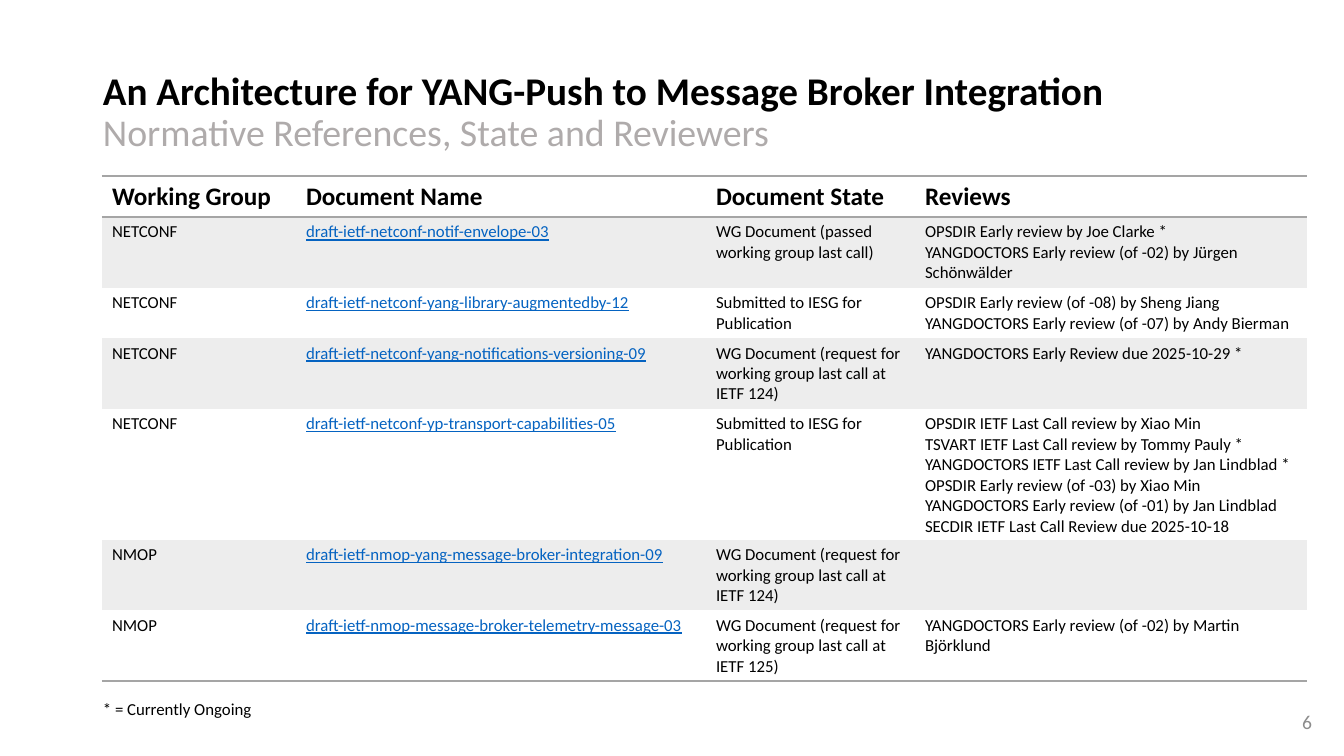
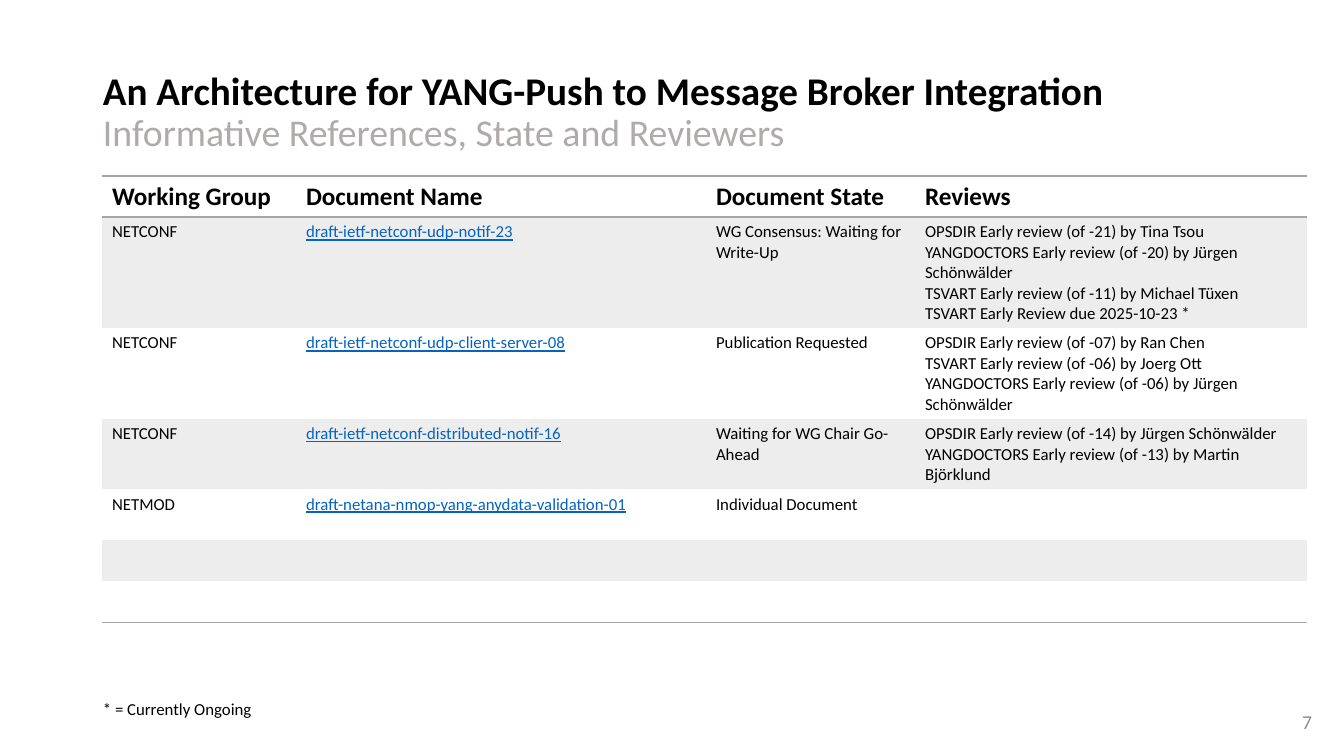
"""Build two slides listing referenced drafts, their state and their reviewers."""
from dataclasses import dataclass

from lxml import etree
from pptx import Presentation
from pptx.dml.color import RGBColor
from pptx.enum.text import MSO_ANCHOR, PP_ALIGN
from pptx.oxml.ns import qn
from pptx.util import Emu, Pt

MIDDLE, TOP = MSO_ANCHOR.MIDDLE, MSO_ANCHOR.TOP
LEFT, RIGHT = PP_ALIGN.LEFT, PP_ALIGN.RIGHT
EMU_PER_PX = 914400 / 100.8
FONT = "Calibri"
BLACK, SUBTITLE_GREY, NUMBER_GREY = "000000", "AFABAB", "8C8C8C"
LINK_BLUE, RULE_GREY, BAND_GREY = "0563C1", "A5A5A5", "EDEDED"
PLAIN_TABLE_STYLE = "{2D5ABB26-0587-4C30-8999-92F81FD0307C}"
TITLE = "An Architecture for YANG-Push to Message Broker Integration"
FOOTNOTE = "* = Currently Ongoing"
HEADERS = ("Working Group", "Document Name", "Document State", "Reviews")
COLUMN_WIDTHS = (194, 410, 209, 392)
ROW_HEIGHT = 41


@dataclass(frozen=True)
class TextStyle:
    size: int
    color: str = BLACK
    bold: bool = False
    underline: bool = False


@dataclass(frozen=True)
class Draft:
    group: str = ""
    name: str = ""
    state: str = ""
    reviews: tuple[str, ...] = ()
    height: int = ROW_HEIGHT


@dataclass(frozen=True)
class ReferencePage:
    number: int
    subtitle: str
    drafts: tuple[Draft, ...]


TITLE_STYLE = TextStyle(28, bold=True)
SUBTITLE_STYLE = TextStyle(27, SUBTITLE_GREY)
NUMBER_STYLE = TextStyle(14, NUMBER_GREY)
HEADER_STYLE = TextStyle(18, bold=True)
BODY_STYLE = TextStyle(12)
LINK_STYLE = TextStyle(12, LINK_BLUE, underline=True)

PAGES = (
    ReferencePage(6, "Normative References, State and Reviewers", (
        Draft("NETCONF", "draft-ietf-netconf-notif-envelope-03",
              "WG Document (passed working group last call)",
              ("OPSDIR Early review by Joe Clarke *",
               "YANGDOCTORS Early review (of -02) by Jürgen Schönwälder")),
        Draft("NETCONF", "draft-ietf-netconf-yang-library-augmentedby-12",
              "Submitted to IESG for Publication",
              ("OPSDIR Early review (of -08) by Sheng Jiang",
               "YANGDOCTORS Early review (of -07) by Andy Bierman")),
        Draft("NETCONF", "draft-ietf-netconf-yang-notifications-versioning-09",
              "WG Document (request for working group last call at IETF 124)",
              ("YANGDOCTORS Early Review due 2025-10-29 *",)),
        Draft("NETCONF", "draft-ietf-netconf-yp-transport-capabilities-05",
              "Submitted to IESG for Publication",
              ("OPSDIR IETF Last Call review by Xiao Min",
               "TSVART IETF Last Call review by Tommy Pauly *",
               "YANGDOCTORS IETF Last Call review by Jan Lindblad *",
               "OPSDIR Early review (of -03) by Xiao Min",
               "YANGDOCTORS Early review (of -01) by Jan Lindblad",
               "SECDIR IETF Last Call Review due 2025-10-18")),
        Draft("NMOP", "draft-ietf-nmop-yang-message-broker-integration-09",
              "WG Document (request for working group last call at IETF 124)"),
        Draft("NMOP", "draft-ietf-nmop-message-broker-telemetry-message-03",
              "WG Document (request for working group last call at IETF 125)",
              ("YANGDOCTORS Early review (of -02) by Martin Björklund",)),
    )),
    ReferencePage(7, "Informative References, State and Reviewers", (
        Draft("NETCONF", "draft-ietf-netconf-udp-notif-23",
              "WG Consensus: Waiting for Write-Up",
              ("OPSDIR Early review (of -21) by Tina Tsou",
               "YANGDOCTORS Early review (of -20) by Jürgen Schönwälder",
               "TSVART Early review (of -11) by Michael Tüxen",
               "TSVART Early Review due 2025-10-23 *")),
        Draft("NETCONF", "draft-ietf-netconf-udp-client-server-08",
              "Publication Requested",
              ("OPSDIR Early review (of -07) by Ran Chen",
               "TSVART Early review (of -06) by Joerg Ott",
               "YANGDOCTORS Early review (of -06) by Jürgen Schönwälder")),
        Draft("NETCONF", "draft-ietf-netconf-distributed-notif-16",
              "Waiting for WG Chair Go-Ahead",
              ("OPSDIR Early review (of -14) by Jürgen Schönwälder",
               "YANGDOCTORS Early review (of -13) by Martin Björklund")),
        Draft("NETMOD", "draft-netana-nmop-yang-anydata-validation-01",
              "Individual Document", height=51),
        Draft(),
        Draft(),
    )),
)


def px(length: int) -> Emu:
    return Emu(round(length * EMU_PER_PX))


def rgb(color: str) -> RGBColor:
    return RGBColor.from_string(color)


def add_span(para, text: str, style: TextStyle) -> None:
    span = para.add_run()
    span.text = text
    font = span.font
    font.name, font.size = FONT, Pt(style.size)
    font.bold, font.underline = style.bold, style.underline
    font.color.rgb = rgb(style.color)


def add_box(page, left: int, top: int, width: int, height: int,
            anchor=TOP, align=LEFT, spacing: float = 1.0):
    box = page.shapes.add_textbox(px(left), px(top), px(width), px(height))
    frame = box.text_frame
    frame.word_wrap, frame.vertical_anchor = True, anchor
    para = frame.paragraphs[0]
    para.alignment, para.line_spacing = align, spacing
    return para


def add_rule(cell, edge: str) -> None:
    line = etree.SubElement(cell._tc.get_or_add_tcPr(), qn(f"a:{edge}"), w=str(Pt(1)))
    fill = etree.SubElement(line, qn("a:solidFill"))
    etree.SubElement(fill, qn("a:srgbClr"), val=RULE_GREY)


def fill_cell(cell, lines: tuple[str, ...], style: TextStyle,
              edges: tuple[str, ...], banded: bool) -> None:
    for edge in edges:
        add_rule(cell, edge)
    if banded:
        cell.fill.solid()
        cell.fill.fore_color.rgb = rgb(BAND_GREY)
    else:
        cell.fill.background()
    frame = cell.text_frame
    for index, line in enumerate(lines):
        para = frame.add_paragraph() if index else frame.paragraphs[0]
        add_span(para, line, style)


def add_draft_table(page, drafts: tuple[Draft, ...]) -> None:
    heights = [ROW_HEIGHT] + [draft.height for draft in drafts]
    table = page.shapes.add_table(
        len(heights), len(HEADERS), px(102), px(176),
        px(sum(COLUMN_WIDTHS)), px(sum(heights))).table
    table.horz_banding = False
    table._tbl.tblPr.find(qn("a:tableStyleId")).text = PLAIN_TABLE_STYLE
    for column, width in zip(table.columns, COLUMN_WIDTHS):
        column.width = px(width)
    for row, height in zip(table.rows, heights):
        row.height = px(height)
    for column, header in enumerate(HEADERS):
        fill_cell(table.cell(0, column), (header,), HEADER_STYLE, ("lnT", "lnB"), False)
    for row, draft in enumerate(drafts, start=1):
        edges = ("lnB",) if row == len(drafts) else ()
        texts = [(text,) if text else () for text in (draft.group, draft.name, draft.state)]
        for column, lines in enumerate(texts + [draft.reviews]):
            style = LINK_STYLE if column == 1 else BODY_STYLE
            fill_cell(table.cell(row, column), lines, style, edges, row % 2 == 1)


def add_reference_page(deck, content: ReferencePage) -> None:
    page = deck.slides.add_slide(deck.slide_layouts[6])
    title = add_box(page, 93, 40, 1159, 146, anchor=MIDDLE, spacing=0.9)
    add_span(title, TITLE, TITLE_STYLE)
    title.add_line_break()
    add_span(title, content.subtitle, SUBTITLE_STYLE)
    number = add_box(page, 1277, 702, 45, 40, anchor=MIDDLE, align=RIGHT)
    add_span(number, str(content.number), NUMBER_STYLE)
    add_draft_table(page, content.drafts)
    add_span(add_box(page, 93, 696, 1214, 31, spacing=0.9), FOOTNOTE, BODY_STYLE)


def main() -> None:
    deck = Presentation()
    deck.slide_width, deck.slide_height = px(1344), px(756)
    for content in PAGES:
        add_reference_page(deck, content)
    deck.save("out.pptx")


if __name__ == "__main__":
    main()
